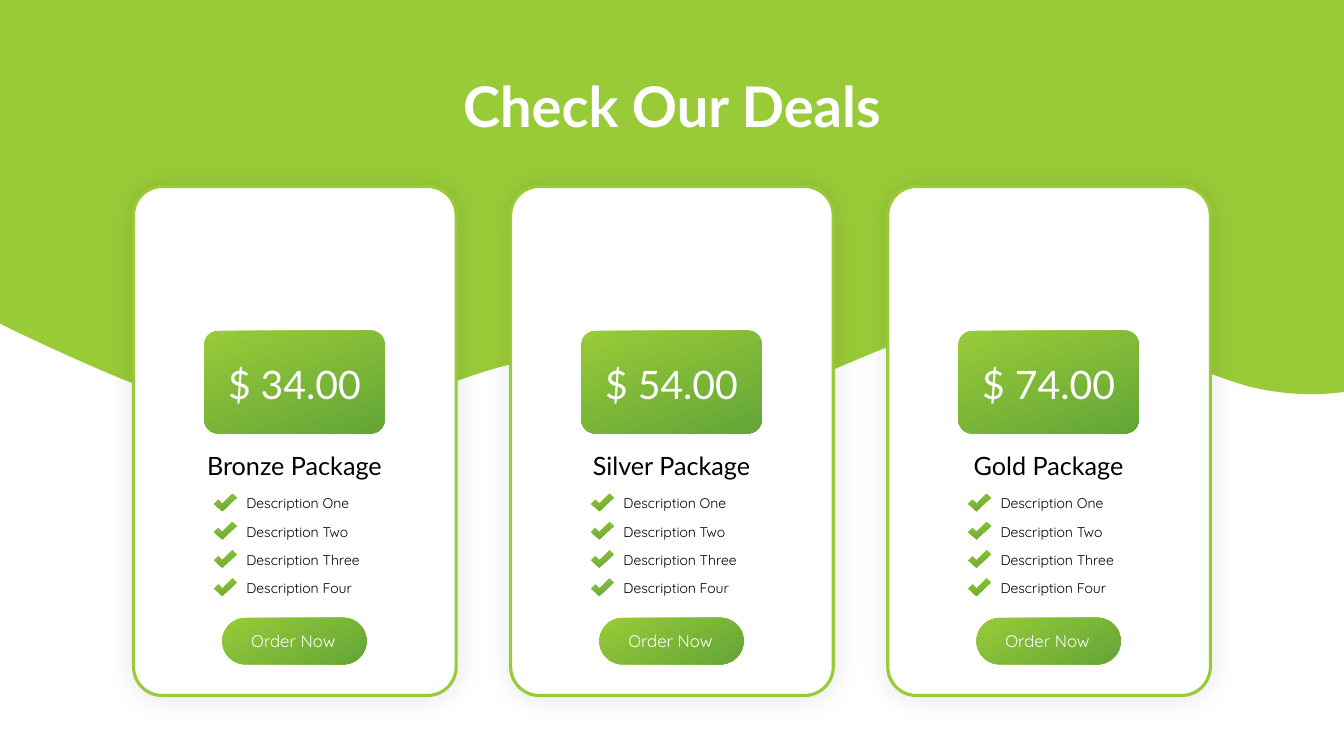
from lxml import etree
from pptx import Presentation
from pptx.dml.color import RGBColor
from pptx.enum.shapes import MSO_SHAPE
from pptx.enum.text import MSO_ANCHOR, MSO_AUTO_SIZE, PP_ALIGN
from pptx.oxml.ns import qn
from pptx.util import Inches, Pt

TITLE = "Check Our Deals"
DEALS = [
    ("Bronze Package", "$ 34.00"),
    ("Silver Package", "$ 54.00"),
    ("Gold Package", "$ 74.00"),
]
PERKS = ["Description One", "Description Two", "Description Three", "Description Four"]
ORDER = "Order Now"

LIME, LEAF, WHITE, BLACK = "99CB38", "63A537", "FFFFFF", "000000"
HEAD, BODY = "Lato", "Quicksand"

WIDE, HIGH = 13.33, 7.5
CARD_W, CARD_H, CARD_TOP, PITCH = 3.2, 5.05, 1.85, 3.74
PERK_TOP, PERK_STEP = 4.86, 0.28

# Wave edge from right to left: two control points and an end for each curve
EDGE = (13.23, 3.9)
CURVES = [
    ((13.05, 3.92), (12.81, 3.92), (12.5, 3.86)),
    ((11.88, 3.74), (10.86, 3.11), (9.96, 3.14)),
    ((9.05, 3.17), (7.83, 3.99), (7.07, 4.06)),
    ((6.3, 4.13), (6.12, 3.55), (5.39, 3.57)),
    ((4.66, 3.59), (3.66, 4.29), (2.7, 4.2)),
    ((1.97, 4.13), (0.88, 3.63), (0.16, 3.29)),
]
TICK = [(0.08, 0.17), (0, 0.1), (0.04, 0.06), (0.08, 0.1), (0.18, 0), (0.22, 0.04)]

deck = Presentation()
deck.slide_width, deck.slide_height = Inches(WIDE), Inches(HIGH)
slide = deck.slides.add_slide(deck.slide_layouts[6])
shapes = slide.shapes


def color(code):
    return RGBColor.from_string(code)


def flat(shape, code):
    shape.fill.solid()
    shape.fill.fore_color.rgb = color(code)


def blend(shape, angle):
    """Fill with the lime to leaf gradient, angle measured clockwise."""
    shape.fill.gradient()
    shape.fill.gradient_angle = 360 - angle
    for stop, code in zip(shape.fill.gradient_stops, (LIME, LEAF)):
        stop.color.rgb = color(code)


def outline(points):
    """Closed shape through points given in inches."""
    spots = [(Inches(x), Inches(y)) for x, y in points]
    pen = shapes.build_freeform(*spots[0])
    pen.add_line_segments(spots[1:], close=True)
    shape = pen.convert_to_shape()
    shape.shadow.inherit = False
    shape.line.fill.background()
    return shape


def round_box(x, y, w, h, curve):
    box = shapes.add_shape(
        MSO_SHAPE.ROUNDED_RECTANGLE, Inches(x), Inches(y), Inches(w), Inches(h))
    box.adjustments[0] = curve
    box.shadow.inherit = False
    box.line.fill.background()
    return box


def glow(shape):
    """Soft even shadow around the shape."""
    effects = shape._element.spPr.find(qn("a:effectLst"))
    shade = etree.SubElement(
        effects, qn("a:outerShdw"), blurRad=str(Pt(20)), dist="0", dir="0",
        algn="ctr", rotWithShape="0")
    tint = etree.SubElement(shade, qn("a:srgbClr"), val=BLACK)
    etree.SubElement(tint, qn("a:alpha"), val="10000")


def label(text, x, y, w, h, size, font, code, align=PP_ALIGN.CENTER):
    box = shapes.add_textbox(Inches(x), Inches(y), Inches(w), Inches(h))
    frame = box.text_frame
    frame.word_wrap = True
    frame.auto_size = MSO_AUTO_SIZE.SHAPE_TO_FIT_TEXT
    para = frame.paragraphs[0]
    para.alignment = align
    run = para.add_run()
    run.text = text
    run.font.size, run.font.name = Pt(size), font
    run.font.color.rgb = color(code)
    return frame


def trace(start, curves, steps=24):
    """Points along a chain of cubic curves."""
    points = [start]
    for a, b, end in curves:
        for n in range(1, steps + 1):
            t = n / steps
            u = 1 - t
            mix = (u ** 3, 3 * u * u * t, 3 * u * t * t, t ** 3)
            points.append(tuple(
                sum(m * p[axis] for m, p in zip(mix, (start, a, b, end)))
                for axis in (0, 1)))
        start = end
    return points


def card(x, name, price):
    panel = round_box(x, CARD_TOP, CARD_W, CARD_H, 0.089)
    flat(panel, WHITE)
    panel.line.color.rgb = color(LIME)
    panel.line.width = Pt(2.25)
    glow(panel)

    label(name, x + 0.37, 4.42, 2.45, 0.4, 18, HEAD, BLACK)
    blend(round_box(x + 0.88, 6.13, 1.43, 0.46, 0.5), 60)
    label(ORDER, x + 0.92, 6.21, 1.33, 0.3, 12, BODY, WHITE)
    blend(round_box(x + 0.7, 3.28, 1.79, 1.02, 0.136), 70)
    label(price, x + 0.7, 3.53, 1.79, 0.57, 28, HEAD, WHITE)

    for row, perk in enumerate(PERKS):
        y = PERK_TOP + row * PERK_STEP
        blend(outline([(x + 0.8 + dx, y + 0.04 + dy) for dx, dy in TICK]), 70)
        label(perk, x + 1.02, y, 1.39, 0.27, 10, BODY, BLACK, PP_ALIGN.LEFT)


wave = [(0, 0), (WIDE, 0), (WIDE, 3.89)] + trace(EDGE, CURVES) + [(0, 3.21)]
flat(outline(wave), LIME)

first = (WIDE - CARD_W) / 2 - PITCH
for col, (name, price) in enumerate(DEALS):
    card(first + col * PITCH, name, price)

title = label(TITLE, 2.75, 0.36, 7.83, 1.45, 40, HEAD, WHITE)
title.auto_size = MSO_AUTO_SIZE.NONE
title.vertical_anchor = MSO_ANCHOR.MIDDLE
title.paragraphs[0].line_spacing = 0.9
title.paragraphs[0].runs[0].font.bold = True

deck.save("out.pptx")
